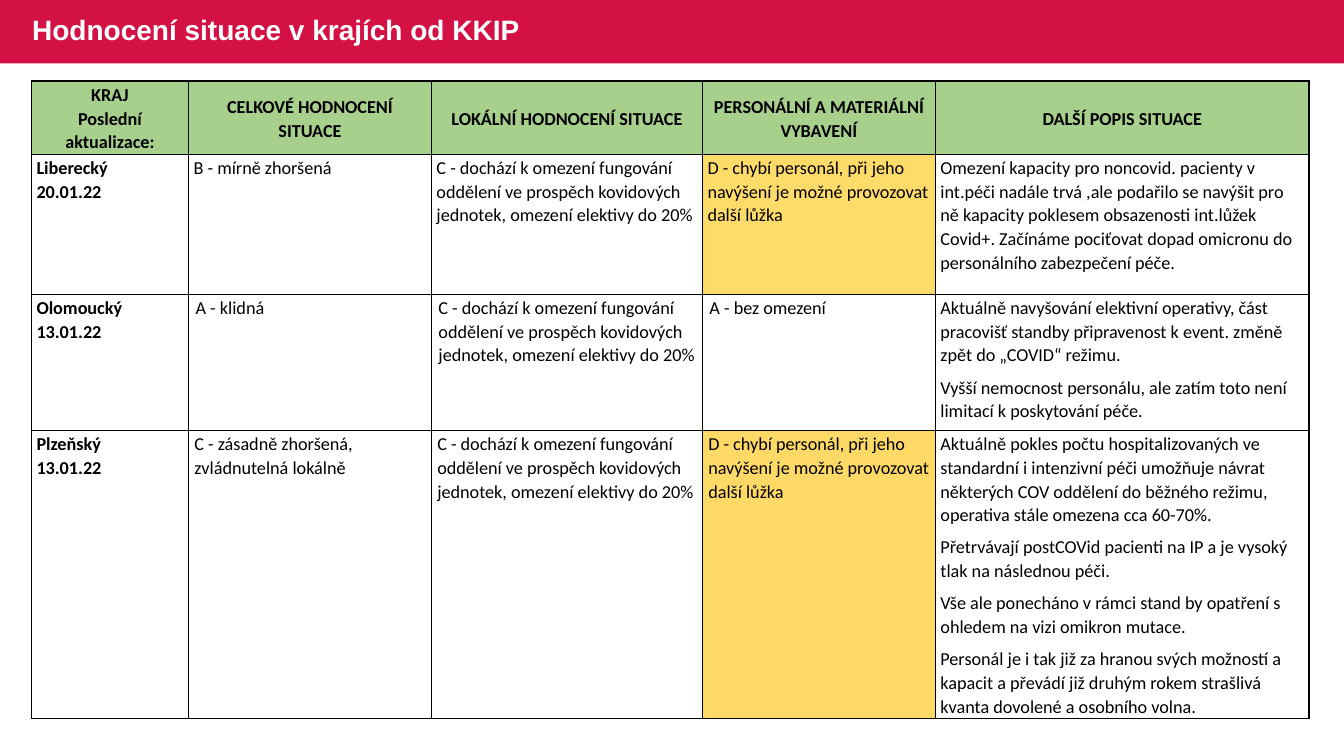
import pptx
import pptx.dml.color
import pptx.enum.shapes
import pptx.enum.text
import pptx.oxml
import pptx.oxml.ns
import pptx.util

Cm = pptx.util.Cm
Pt = pptx.util.Pt
RGBColor = pptx.dml.color.RGBColor
ALIGN = pptx.enum.text.PP_ALIGN
ANCHOR = pptx.enum.text.MSO_ANCHOR

CRIMSON = RGBColor(0xD3, 0x11, 0x45)
WHITE = RGBColor(0xFF, 0xFF, 0xFF)
BLACK = RGBColor(0x00, 0x00, 0x00)
GREEN = RGBColor(0xA8, 0xD0, 0x8D)
AMBER = RGBColor(0xFF, 0xDB, 0x69)
GOLD = RGBColor(0xFF, 0xD9, 0x66)

SLIDE_WIDTH, SLIDE_HEIGHT = Cm(33.87), Cm(19.05)
BAND_HEIGHT = Cm(1.6)
COLUMN_WIDTHS = [3.96, 6.12, 6.83, 5.87, 9.42]
ROW_HEIGHTS = [1.85, 3.53, 3.43, 7.25]
EDGE_MARGIN = 0.13

HEADERS = [
    ["KRAJ", "Poslední aktualizace:"],
    ["CELKOVÉ HODNOCENÍ SITUACE"],
    ["LOKÁLNÍ HODNOCENÍ SITUACE"],
    ["PERSONÁLNÍ A MATERIÁLNÍ VYBAVENÍ"],
    ["DALŠÍ POPIS SITUACE"],
]
LOCAL_LIMITS = ("C - dochází k omezení fungování oddělení ve prospěch kovidových "
                "jednotek, omezení elektivy do 20%")
STAFF_SHORTAGE = "D - chybí personál, při jeho navýšení je možné provozovat další lůžka"

# Region, date, overall rating, staffing, staffing colour, rating margin, description
REGIONS = [
    ("Liberecký", "20.01.22", "B - mírně zhoršená", STAFF_SHORTAGE, AMBER, 0.13, [
        "Omezení kapacity pro noncovid. pacienty v int.péči nadále trvá ,ale podařilo "
        "se navýšit pro ně kapacity poklesem obsazenosti int.lůžek Covid+. Začínáme "
        "pociťovat dopad omicronu do personálního zabezpečení péče.",
    ]),
    ("Olomoucký", "13.01.22", "A - klidná", "A - bez omezení", WHITE, 0.18, [
        "Aktuálně navyšování elektivní operativy, část pracovišť standby připravenost "
        "k event. změně zpět do „COVID“ režimu.",
        "Vyšší nemocnost personálu, ale zatím toto není limitací k poskytování péče.",
    ]),
    ("Plzeňský", "13.01.22", "C - zásadně zhoršená, zvládnutelná lokálně",
     STAFF_SHORTAGE, GOLD, 0.15, [
         "Aktuálně pokles počtu hospitalizovaných ve standardní i intenzivní péči "
         "umožňuje návrat některých COV oddělení do běžného režimu, operativa stále "
         "omezena cca 60-70%.",
         "Přetrvávají postCOVid pacienti na IP a je vysoký tlak na následnou péči.",
         "Vše ale ponecháno v rámci stand by opatření s ohledem na vizi omikron mutace.",
         "Personál je i tak již za hranou svých možností a kapacit a převádí již druhým "
         "rokem strašlivá kvanta dovolené a osobního volna.",
     ]),
]


def add_run(paragraph, text, font_name, size, color, bold):
    run = paragraph.add_run()
    run.text = text
    run.font.name = font_name
    run.font.size = Pt(size)
    run.font.color.rgb = color
    run.font.bold = bold


def add_title_band(slide):
    band = slide.shapes.add_shape(
        pptx.enum.shapes.MSO_SHAPE.RECTANGLE, 0, 0, SLIDE_WIDTH, BAND_HEIGHT)
    band.shadow.inherit = False
    band.fill.solid()
    band.fill.fore_color.rgb = CRIMSON
    band.line.fill.background()


def add_title(slide, text):
    box = slide.shapes.add_textbox(Cm(0.56), Cm(-0.02), Cm(20.68), BAND_HEIGHT)
    frame = box.text_frame
    frame.word_wrap = True
    frame.vertical_anchor = ANCHOR.MIDDLE
    paragraph = frame.paragraphs[0]
    paragraph.line_spacing = 0.9
    add_run(paragraph, text, "Arial", 20, WHITE, True)


def set_borders(cell):
    """Draw a thin black line on all four sides; call before setting the fill."""
    properties = cell._tc.get_or_add_tcPr()
    namespace = pptx.oxml.ns.nsdecls("a")
    for side in ("lnL", "lnR", "lnT", "lnB"):
        properties.append(pptx.oxml.parse_xml(
            f'<a:{side} {namespace} w="{Pt(1)}"><a:solidFill>'
            f'<a:srgbClr val="{BLACK}"/></a:solidFill></a:{side}>'))


def fill_cell(cell, texts, color=WHITE, margin=EDGE_MARGIN, bold=False,
              align=ALIGN.LEFT, anchor=ANCHOR.TOP, space_before=0):
    set_borders(cell)
    cell.fill.solid()
    cell.fill.fore_color.rgb = color
    cell.margin_left = cell.margin_right = Cm(margin)
    cell.margin_top, cell.margin_bottom = Cm(0.03), 0
    cell.vertical_anchor = anchor
    frame = cell.text_frame
    for index, text in enumerate(texts):
        paragraph = frame.add_paragraph() if index else frame.paragraphs[0]
        paragraph.alignment = align
        paragraph.line_spacing = 1.07
        if index:
            paragraph.space_before = Pt(space_before)
        add_run(paragraph, text, "Calibri", 13, BLACK, bold)


def add_table(slide):
    table = slide.shapes.add_table(
        len(ROW_HEIGHTS), len(COLUMN_WIDTHS), Cm(0.79), Cm(2.04),
        Cm(sum(COLUMN_WIDTHS)), Cm(sum(ROW_HEIGHTS))).table
    table.first_row = table.horz_banding = False
    for column, width in zip(table.columns, COLUMN_WIDTHS):
        column.width = Cm(width)
    for row, height in zip(table.rows, ROW_HEIGHTS):
        row.height = Cm(height)
    return table


def fill_header(table):
    for column, texts in enumerate(HEADERS):
        fill_cell(table.cell(0, column), texts, GREEN, bold=True,
                  align=ALIGN.CENTER, anchor=ANCHOR.MIDDLE)


def fill_regions(table):
    for row, region in enumerate(REGIONS, start=1):
        name, date, overall, staffing, staffing_color, margin, description = region
        fill_cell(table.cell(row, 0), [name, date], bold=True)
        fill_cell(table.cell(row, 1), [overall], margin=margin)
        fill_cell(table.cell(row, 2), [LOCAL_LIMITS], margin=margin)
        fill_cell(table.cell(row, 3), [staffing], staffing_color, margin)
        fill_cell(table.cell(row, 4), description, space_before=6)


def main():
    presentation = pptx.Presentation()
    presentation.slide_width = SLIDE_WIDTH
    presentation.slide_height = SLIDE_HEIGHT
    slide = presentation.slides.add_slide(presentation.slide_layouts[6])
    add_title_band(slide)
    add_title(slide, "Hodnocení situace v krajích od KKIP")
    table = add_table(slide)
    fill_header(table)
    fill_regions(table)
    presentation.save("out.pptx")


if __name__ == "__main__":
    main()
